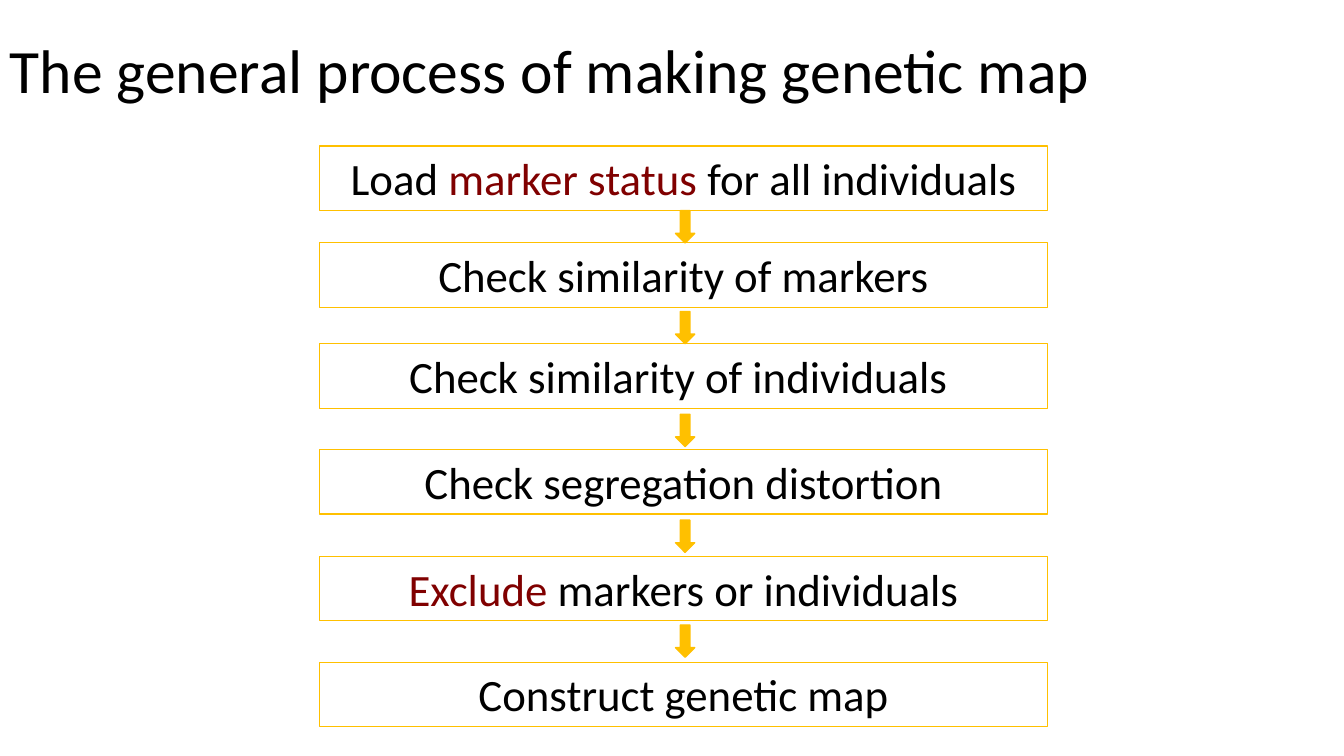
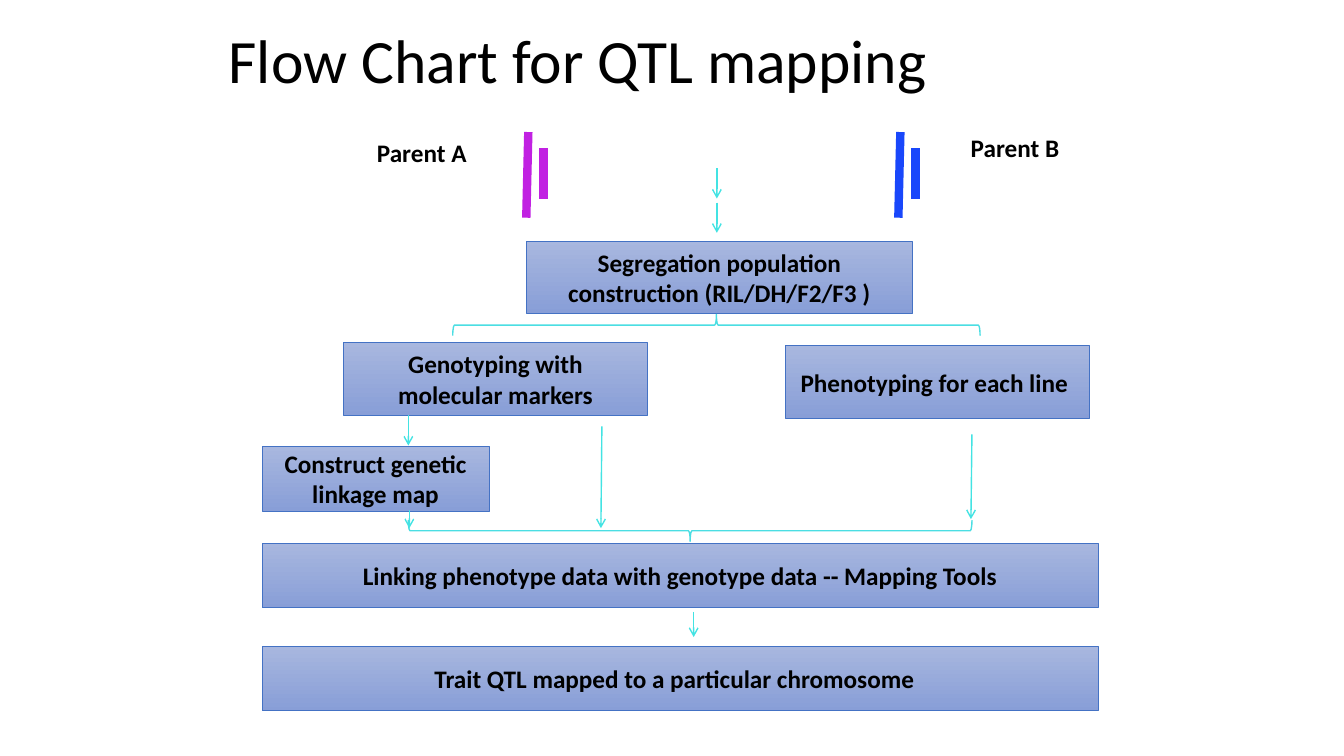
from dataclasses import dataclass

from lxml import etree
from pptx import Presentation
from pptx.dml.color import RGBColor
from pptx.enum.shapes import MSO_CONNECTOR, MSO_SHAPE
from pptx.enum.text import MSO_ANCHOR, PP_ALIGN
from pptx.oxml.ns import qn
from pptx.util import Emu, Pt

PX = 9144
RECT, DOWN, BRACE = MSO_SHAPE.RECTANGLE, MSO_SHAPE.DOWN_ARROW, MSO_SHAPE.LEFT_BRACE
LINE = MSO_CONNECTOR.STRAIGHT
TOP, MID = MSO_ANCHOR.TOP, MSO_ANCHOR.MIDDLE
LEFT, MIDDLE = PP_ALIGN.LEFT, PP_ALIGN.CENTER


@dataclass(frozen=True)
class Theme:
    font: str = "Calibri"
    ink: str = "000000"
    mark: str = "800000"
    gold: str = "FFC000"
    edge: str = "4472C4"
    light: str = "A8B7DF"
    dark: str = "889ED7"
    brace: str = "4BDEE3"
    arrow: str = "43E3E3"
    pink: str = "C121E2"
    blue: str = "1947FB"
    title: int = 44
    step: int = 32
    label: int = 18


T = Theme()

STEPS = [
    (145, [("Load ", T.ink), ("marker status ", T.mark), ("for all individuals", T.ink)]),
    (241, [("Check similarity of markers", T.ink)]),
    (341, [("Check similarity of individuals ", T.ink)]),
    (446, [("Check segregation distortion", T.ink)]),
    (552, [("Exclude", T.mark), (" markers or individuals", T.ink)]),
    (657, [("Construct genetic map", T.ink)]),
]
DROPS = [209, 309, 411, 516, 620]

BOXES = [
    ((522, 239, 383, 72), "Segregation population construction (RIL/DH/F2/F3 )", 10),
    ((341, 340, 301, 72), "Genotyping with molecular markers", 10),
    ((779, 343, 301, 72), "Phenotyping for each line ", 10),
    ((260, 443, 225, 64), "Construct genetic linkage map", 10),
    ((260, 539, 829, 64), "Linking phenotype data with genotype data -- Mapping Tools", 10),
    ((260, 641, 829, 64), "Trait QTL mapped to a particular chromosome", 21),
]
PARENTS = [
    ("Parent A", (364, 131), 522, T.pink),
    ("Parent B", (953, 126), 891, T.blue),
]
BRACES = [((700, 61, 21, 523), 90), ((674, 247, 21, 559), 270)]
ARROWS = [
    (711, 167, 711, 197),
    (711, 201, 711, 231),
    (405, 412, 405, 442),
    (964, 431, 963, 515),
    (597, 423, 596, 524),
    (406, 506, 406, 524),
    (688, 607, 688, 632),
]


def emu(vals):
    return [Emu(v * PX) for v in vals]


def rgb(tone):
    return RGBColor.from_string(tone)


def write(shape, runs, size, bold=False, align=MIDDLE, anchor=MID, lead=None, right=10):
    frame = shape.text_frame
    frame.word_wrap = True
    frame.vertical_anchor = anchor
    frame.margin_right = Emu(right * PX)
    para = frame.paragraphs[0]
    para.alignment = align
    if lead:
        para.line_spacing = lead
    for text, tone in runs:
        run = para.add_run()
        run.text = text
        run.font.name = T.font
        run.font.size = Pt(size)
        run.font.bold = bold
        run.font.color.rgb = rgb(tone)


def label(slide, area, text, size, **form):
    write(slide.shapes.add_textbox(*emu(area)), [(text, T.ink)], size, align=LEFT, **form)


def title(slide, area, text):
    label(slide, area, text, T.title, lead=0.9)


def draw(slide, kind, area, tone, width, fill=None):
    shape = slide.shapes.add_shape(kind, *emu(area))
    shape.shadow.inherit = False
    shape.line.color.rgb = rgb(tone)
    shape.line.width = Pt(width)
    if isinstance(fill, tuple):
        shape.fill.gradient()
        shape.fill.gradient_angle = 270
        for stop, shade in zip(shape.fill.gradient_stops, fill):
            stop.color.rgb = rgb(shade)
    elif fill:
        shape.fill.solid()
        shape.fill.fore_color.rgb = rgb(fill)
    else:
        shape.fill.background()
    return shape


def link(slide, ends, tone, width, head=False):
    line = slide.shapes.add_connector(LINE, *emu(ends))
    line.line.color.rgb = rgb(tone)
    line.line.width = Pt(width)
    prop = line.element.spPr
    if head:
        etree.SubElement(prop.find(qn("a:ln")), qn("a:tailEnd"), type="arrow")
    etree.SubElement(prop, qn("a:effectLst"))


def process(slide):
    title(slide, (0, 0, 1150, 145), "The general process of making genetic map")
    for rank, (top, runs) in enumerate(STEPS):
        box = draw(slide, RECT, (317, top, 722, 64), T.gold, 0.75 if rank else 1)
        write(box, runs, T.step, anchor=TOP)
    for top in DROPS:
        draw(slide, DOWN, (670, top, 19, 32), T.gold, 1, T.gold)


def chart(slide):
    title(slide, (217, 1, 900, 125), "Flow Chart for QTL mapping")
    for name, (x, y), bar, tone in PARENTS:
        label(slide, (x, y, 116, 40), name, T.label, bold=True, anchor=TOP)
        link(slide, (bar + 2, 131, bar, 216), tone, 6)
        link(slide, (bar + 17, 147, bar + 17, 197), tone, 6)
    for area, text, right in BOXES:
        box = draw(slide, RECT, area, T.edge, 0.5, (T.light, T.dark))
        write(box, [(text, T.ink)], T.label, bold=True, right=right)
    for area, turn in BRACES:
        brace = draw(slide, BRACE, area, T.brace, 1)
        brace.rotation = turn
        brace.adjustments[0] = 0.08
        brace.adjustments[1] = 0.5
    for ends in ARROWS:
        link(slide, ends, T.arrow, 1, head=True)


def main():
    deck = Presentation()
    deck.slide_width, deck.slide_height = emu((1333, 750))
    for build in (process, chart):
        build(deck.slides.add_slide(deck.slide_layouts[6]))
    deck.save("out.pptx")


if __name__ == "__main__":
    main()
